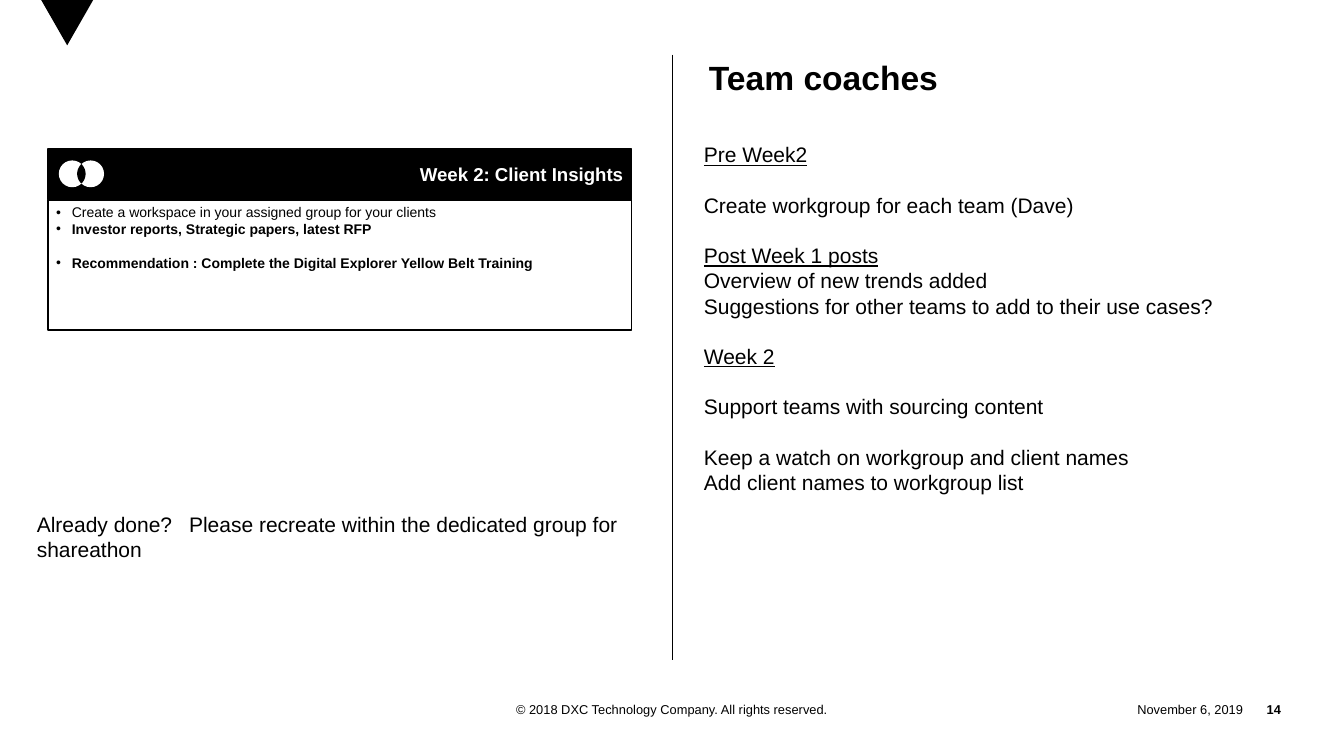
import math

from lxml import etree
from pptx import Presentation
from pptx.dml.color import RGBColor
from pptx.enum.shapes import MSO_CONNECTOR, MSO_SHAPE
from pptx.enum.text import MSO_ANCHOR, PP_ALIGN
from pptx.oxml.ns import qn
from pptx.util import Pt

RECTANGLE, OVAL = MSO_SHAPE.RECTANGLE, MSO_SHAPE.OVAL
LEFT, CENTER, RIGHT = PP_ALIGN.LEFT, PP_ALIGN.CENTER, PP_ALIGN.RIGHT
TOP, MIDDLE = MSO_ANCHOR.TOP, MSO_ANCHOR.MIDDLE
BLACK, WHITE = "000000", "FFFFFF"
LINE_HEIGHT = 1.2


def write(shape, lines, size, color=BLACK, align=LEFT, anchor=TOP, margins=(7.2, 3.6), wrap=True):
    """Fill a shape from (text, style, gap) lines; b is bold, u underlined, gap adds an empty line's height."""
    frame = shape.text_frame
    frame.text = "\n".join(text for text, style, gap in lines)
    frame.word_wrap = wrap
    frame.vertical_anchor = anchor
    frame.margin_left = frame.margin_right = Pt(margins[0])
    frame.margin_top = frame.margin_bottom = Pt(margins[1])
    for paragraph, (text, style, gap) in zip(frame.paragraphs, lines):
        paragraph.alignment = align
        paragraph.line_spacing = Pt(round(size * LINE_HEIGHT, 2))
        paragraph.space_before = Pt(round(size * LINE_HEIGHT, 2) if gap else 0)
        for run in paragraph.runs:
            run.font.name = "Arial"
            run.font.size = Pt(size)
            run.font.bold = "b" in style
            run.font.underline = "u" in style
            run.font.color.rgb = RGBColor.from_string(color)


def paint(shape, fill=None, line=None):
    shape.shadow.inherit = False
    if fill:
        shape.fill.solid()
        shape.fill.fore_color.rgb = RGBColor.from_string(fill)
    else:
        shape.fill.background()
    if line:
        shape.line.color.rgb = RGBColor.from_string(line)
        shape.line.width = Pt(1.5)
    else:
        shape.line.fill.background()


presentation = Presentation()
presentation.slide_width, presentation.slide_height = Pt(1152), Pt(648)
slide = presentation.slides.add_slide(presentation.slide_layouts[5])
shapes = slide.shapes

# Corner triangle
builder = shapes.build_freeform(Pt(35.3), Pt(0))
builder.add_line_segments([(Pt(57.6), Pt(38.9)), (Pt(79.9), Pt(0))])
paint(builder.convert_to_shape(), BLACK)

# Footer
for text, style, left, width, align in [
    ("November 6, 2019", "", 936.7, 128.9, RIGHT),
    ("14", "b", 1065.6, 32.4, RIGHT),
    ("© 2018 DXC Technology Company. All rights reserved.", "", 378, 396, CENTER),
]:
    footer = shapes.add_textbox(Pt(left), Pt(597), Pt(width), Pt(21.6))
    write(footer, [(text, style, False)], 11, align=align, anchor=MIDDLE, margins=(0, 0))

# Week 2 card
header = shapes.add_shape(RECTANGLE, Pt(41), Pt(127.6), Pt(500.4), Pt(43.4))
paint(header, BLACK, BLACK)
write(header, [("Week 2: Client Insights", "b", False)], 16, WHITE, RIGHT, MIDDLE)

card = shapes.add_shape(RECTANGLE, Pt(41), Pt(171.2), Pt(500.4), Pt(111.6))
paint(card, line=BLACK)
write(card, [
    ("Create a workspace in your assigned group for your clients", "", False),
    ("Investor reports, Strategic papers, latest RFP", "b", False),
    ("Recommendation : Complete the Digital Explorer Yellow Belt Training", "b", True),
], 12)
for paragraph in card.text_frame.paragraphs:
    properties = paragraph._p.get_or_add_pPr()
    properties.set("marL", str(Pt(13.5)))
    properties.set("indent", str(Pt(-13.5)))
    etree.SubElement(properties, qn("a:buFont")).set("typeface", "Arial")
    etree.SubElement(properties, qn("a:buChar")).set("char", "•")

# Overlapping circles with a dark lens where they meet
radius, offset, center_x, center_y = 11.5, 7.9, 69.8, 149
for side in (-1, 1):
    circle = shapes.add_shape(OVAL, Pt(center_x + side * offset - radius), Pt(center_y - radius),
                              Pt(2 * radius), Pt(2 * radius))
    paint(circle, WHITE)
half_angle = math.acos(offset / radius)
lens_points = []
for side in (-1, 1):
    for step in range(-8, 9):
        angle = half_angle * step / 8
        lens_points.append((Pt(center_x + side * (offset - radius * math.cos(angle))),
                            Pt(center_y + side * -radius * math.sin(angle))))
builder = shapes.build_freeform(*lens_points[0])
builder.add_line_segments(lens_points[1:])
paint(builder.convert_to_shape(), BLACK)

# Divider
divider = shapes.add_connector(MSO_CONNECTOR.STRAIGHT, Pt(576), Pt(46.8), Pt(576), Pt(566))
divider.line.color.rgb = RGBColor.from_string(BLACK)
divider.line.width = Pt(0.5)
etree.SubElement(divider._element.spPr, qn("a:effectLst"))

# Coaches column
title = shapes.title
title.left, title.top, title.width, title.height = Pt(600.5), Pt(45.4), Pt(213), Pt(42.5)
write(title, [("Team coaches", "b", False)], 28.8, wrap=False)

coach_notes = shapes.add_textbox(Pt(596.2), Pt(118.1), Pt(455), Pt(312.5))
write(coach_notes, [
    ("Pre Week2", "u", False),
    ("Create workgroup for each team (Dave)", "", True),
    ("Post Week 1 posts", "u", True),
    ("Overview of new trends added", "", False),
    ("Suggestions for other teams to add to their use cases?", "", False),
    ("Week 2", "u", True),
    ("Support teams with sourcing content", "", True),
    ("Keep a watch on workgroup and client names", "", True),
    ("Add client names to workgroup list", "", False),
], 18, wrap=False)

# Reminder under the card, with a tab after the question
reminder = shapes.add_textbox(Pt(24.5), Pt(434.9), Pt(576), Pt(51.1))
write(reminder, [
    ("Already done?\tPlease recreate within the dedicated group for shareathon", "", False),
], 18)
tabs = etree.SubElement(reminder.text_frame.paragraphs[0]._p.get_or_add_pPr(), qn("a:tabLst"))
tab = etree.SubElement(tabs, qn("a:tab"))
tab.set("pos", str(Pt(130.5)))
tab.set("algn", "l")

presentation.save("out.pptx")
